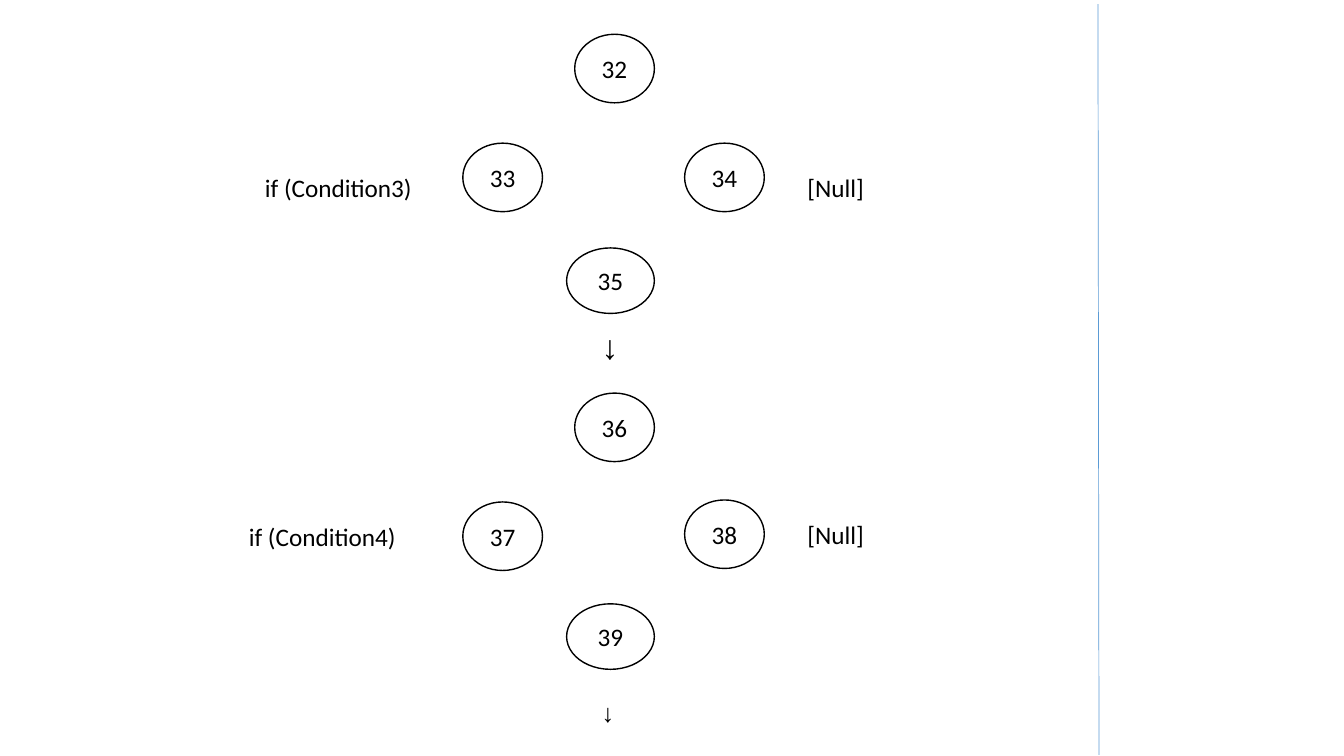
"""Build a slide with two branching condition diagrams of numbered nodes."""
from lxml.etree import SubElement
from pptx import Presentation
from pptx.dml.color import RGBColor
from pptx.enum.shapes import MSO_CONNECTOR, MSO_SHAPE
from pptx.enum.text import MSO_ANCHOR, PP_ALIGN
from pptx.oxml.ns import qn
from pptx.util import Inches, Pt

BLACK, WHITE, BLUE = "000000", "FFFFFF", "5B9BD5"
ROUND, WIDE = (0.79, 0.68), (0.87, 0.65)

NODES = [
    ("32", 5.7, 0.34, ROUND),
    ("33", 4.59, 1.42, ROUND),
    ("34", 6.79, 1.42, ROUND),
    ("35", 5.62, 2.46, WIDE),
    ("36", 5.7, 3.9, ROUND),
    ("37", 4.59, 4.98, ROUND),
    ("38", 6.79, 4.96, ROUND),
    ("39", 5.62, 5.99, WIDE),
]
LABELS = [
    ("↓", 5.87, 3.18, 0.37, 0.5, {"font": "Arial", "size": 24}),
    ("↓", 5.87, 6.87, 0.33, 0.4, {"font": "Arial"}),
    ("if (Condition3)", 2.53, 1.66, 1.66, 0.4, {}),
    ("if (Condition4)", 2.37, 5.12, 1.66, 0.4, {}),
    ("[Null]", 7.91, 1.66, 0.76, 0.4, {}),
    ("[Null]", 7.91, 5.1, 0.76, 0.4, {}),
]
DIVIDER = (10.89, 0.04, 10.9, 7.49)


def color(hex_value):
    return RGBColor.from_string(hex_value)


def write(shape, text, font="Calibri", size=18, align=PP_ALIGN.LEFT, anchor=MSO_ANCHOR.TOP):
    frame = shape.text_frame
    frame.word_wrap = False
    frame.vertical_anchor = anchor
    paragraph = frame.paragraphs[0]
    paragraph.alignment = align
    run = paragraph.add_run()
    run.text = text
    run.font.name = font
    run.font.size = Pt(size)
    run.font.color.rgb = color(BLACK)


def add_node(slide, text, left, top, size):
    box = [Inches(value) for value in (left, top, *size)]
    shape = slide.shapes.add_shape(MSO_SHAPE.OVAL, *box)
    shape.shadow.inherit = False
    shape.fill.solid()
    shape.fill.fore_color.rgb = color(WHITE)
    shape.line.color.rgb = color(BLACK)
    shape.line.width = Pt(1)
    write(shape, text, align=PP_ALIGN.CENTER, anchor=MSO_ANCHOR.MIDDLE)


def add_divider(slide):
    ends = [Inches(value) for value in DIVIDER]
    line = slide.shapes.add_connector(MSO_CONNECTOR.STRAIGHT, *ends)
    line.line.color.rgb = color(BLUE)
    line.line.width = Pt(0.5)
    SubElement(line._element.spPr, qn("a:effectLst"))


def main():
    presentation = Presentation()
    presentation.slide_width = Inches(13.33)
    presentation.slide_height = Inches(7.5)
    slide = presentation.slides.add_slide(presentation.slide_layouts[6])
    for node in NODES:
        add_node(slide, *node)
    for text, left, top, width, height, style in LABELS:
        box = [Inches(value) for value in (left, top, width, height)]
        write(slide.shapes.add_textbox(*box), text, **style)
    add_divider(slide)
    presentation.save("out.pptx")


if __name__ == "__main__":
    main()
